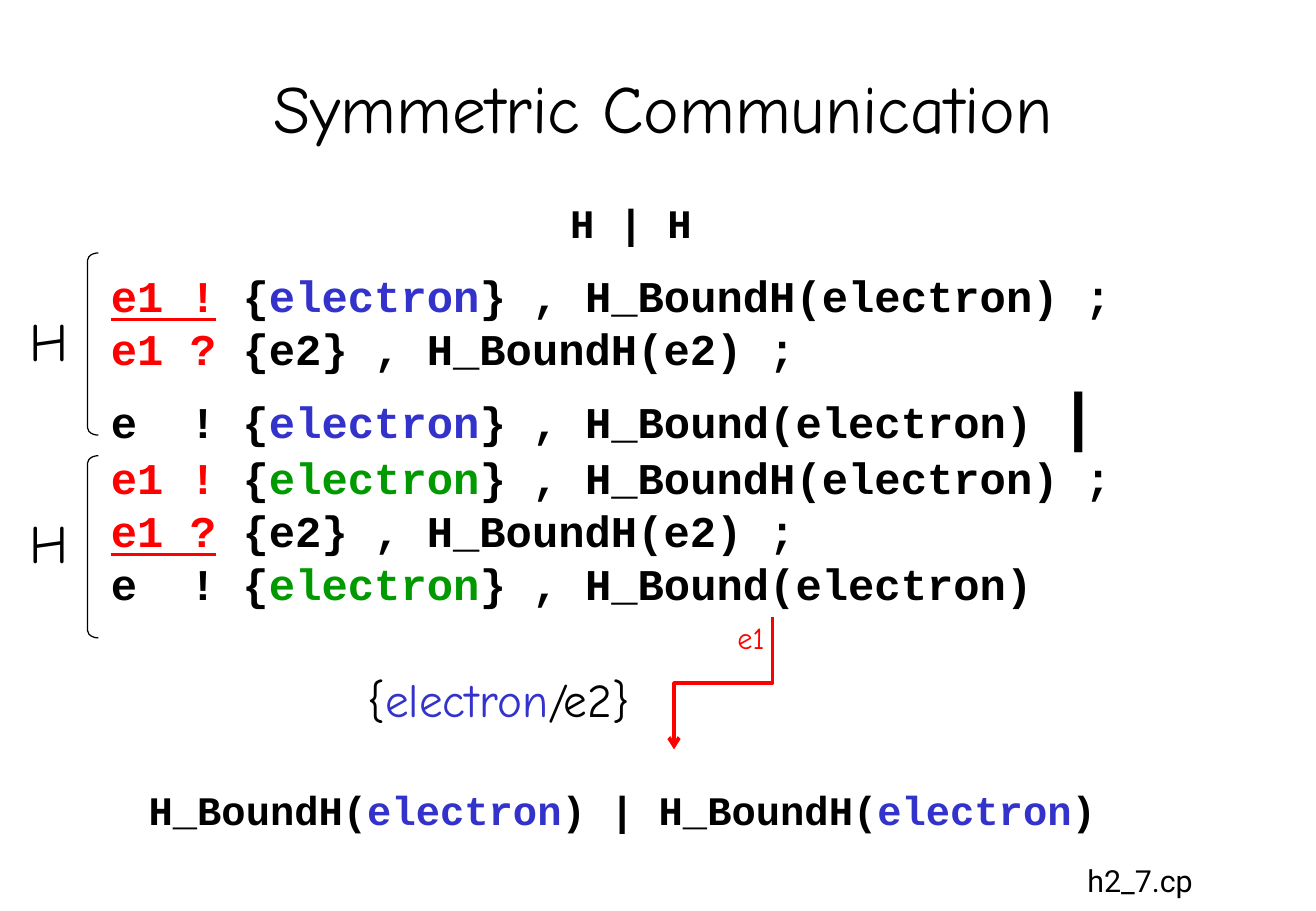
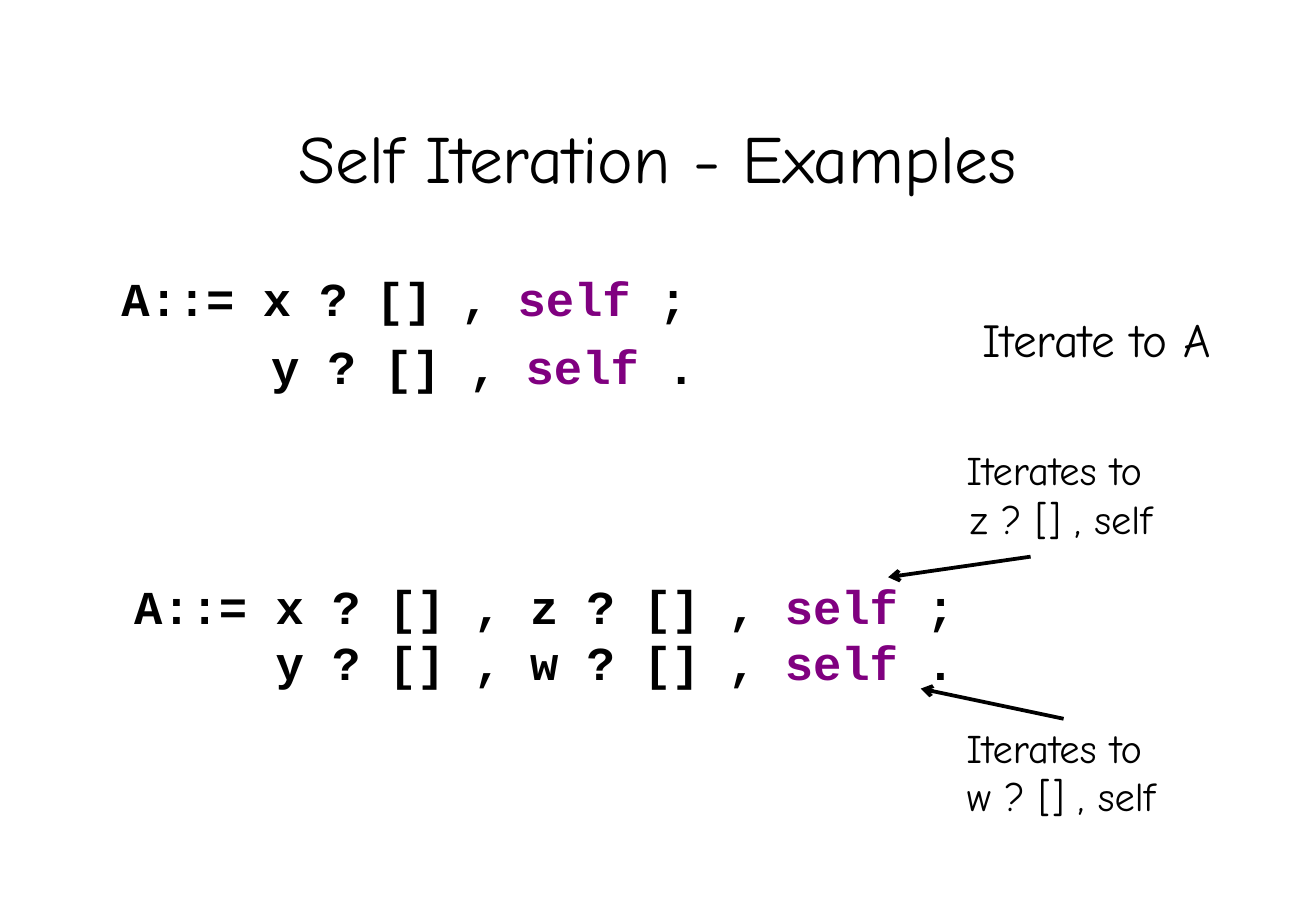
import pptx
import pptx.util
import pptx.dml.color
import pptx.enum.shapes
import pptx.enum.text
import pptx.oxml.ns
import lxml.etree

Cm = pptx.util.Cm
Pt = pptx.util.Pt
ALIGN = pptx.enum.text.PP_ALIGN
ANCHOR = pptx.enum.text.MSO_ANCHOR
CONNECTOR = pptx.enum.shapes.MSO_CONNECTOR
qn = pptx.oxml.ns.qn

COLOURS = {
    "black": "000000",
    "red": "FF0000",
    "blue": "3333CC",
    "green": "009900",
    "purple": "800080",
}
HAND = "Comic Neue"
CODE = "Courier New"
FOOTER = "Roboto"
TITLE_ONLY = 5


def rgb(name):
    return pptx.dml.color.RGBColor.from_string(COLOURS[name])


def set_font(font, face, size, colour="black", bold=False):
    font.name = face
    font.size = Pt(size)
    font.bold = bold
    font.color.rgb = rgb(colour)


def add_span(paragraph, text, colour=None, underline=False, size=None):
    run = paragraph.add_run()
    run.text = text
    if colour:
        run.font.color.rgb = rgb(colour)
    if underline:
        run.font.underline = True
    if size:
        run.font.size = Pt(size)


def fill_paragraph(paragraph, lines):
    """Each line is a list of spans: plain text, or a tuple for add_span."""
    for number, line in enumerate(lines):
        if number:
            paragraph.add_line_break()
        for span in line:
            add_span(paragraph, *((span,) if isinstance(span, str) else span))


def add_tab_stop(paragraph, position):
    stops = lxml.etree.SubElement(paragraph._p.get_or_add_pPr(), qn("a:tabLst"))
    lxml.etree.SubElement(stops, qn("a:tab"), pos=str(int(position)), algn="l")


def add_text(slide, box, paragraphs, size, face=HAND, colour="black",
             align=ALIGN.CENTER, anchor=ANCHOR.TOP, wrap=True, gap=0, tab=None):
    frame = slide.shapes.add_textbox(*map(Cm, box)).text_frame
    frame.word_wrap = wrap
    frame.vertical_anchor = anchor
    for number, lines in enumerate(paragraphs):
        paragraph = frame.add_paragraph() if number else frame.paragraphs[0]
        paragraph.alignment = align
        if number:
            paragraph.space_before = Pt(gap)
        if tab:
            add_tab_stop(paragraph, Cm(tab))
        set_font(paragraph.font, face, size, colour, bold=face == CODE)
        fill_paragraph(paragraph, lines)


def add_label(slide, box, spans, size, **style):
    """One centred line, in the middle of its box."""
    add_text(slide, box, [[spans]], size, anchor=ANCHOR.MIDDLE, wrap=False, **style)


def add_titled_slide(deck, title, box):
    slide = deck.slides.add_slide(deck.slide_layouts[TITLE_ONLY])
    heading = slide.shapes.title
    heading.left, heading.top, heading.width, heading.height = map(Cm, box)
    heading.text_frame.text = title
    heading.text_frame.vertical_anchor = ANCHOR.MIDDLE
    paragraph = heading.text_frame.paragraphs[0]
    paragraph.alignment = ALIGN.CENTER
    set_font(paragraph.font, HAND, 40)
    return slide


def add_arrow(slide, start, end, colour="black", kind=CONNECTOR.STRAIGHT):
    arrow = slide.shapes.add_connector(kind, *map(Cm, (*start, *end)))
    arrow.line.color.rgb = rgb(colour)
    arrow.line.width = Pt(2.25)
    outline = arrow.line._get_or_add_ln()
    lxml.etree.SubElement(outline, qn("a:tailEnd"), type="arrow")
    lxml.etree.SubElement(arrow._element.spPr, qn("a:effectLst"))
    return arrow


def add_step_arrow(slide, start, end, colour):
    """Elbow going down, left and down: a level elbow turned a quarter."""
    mid_x, mid_y = (start[0] + end[0]) / 2, (start[1] + end[1]) / 2
    half_drop, half_run = (end[1] - start[1]) / 2, (start[0] - end[0]) / 2
    arrow = add_arrow(slide, (mid_x - half_drop, mid_y - half_run),
                      (mid_x + half_drop, mid_y + half_run), colour, CONNECTOR.ELBOW)
    arrow._element.spPr.find(qn("a:xfrm")).set("rot", str(90 * 60000))


def add_process_bracket(slide, top):
    bracket = slide.shapes.add_shape(pptx.enum.shapes.MSO_SHAPE.LEFT_BRACKET,
                                     Cm(1.83), Cm(top), Cm(0.23), Cm(3.81))
    bracket.adjustments[0] = 0.69
    bracket.shadow.inherit = False
    bracket.fill.background()
    bracket.line.color.rgb = rgb("black")
    bracket.line.width = Pt(0.75)
    add_label(slide, (0, top + 0.44, 2.06, 2.74), ["H"], 32)


def process_lines(electron_colour, sends, ending):
    """The three choices of H; the chosen one of e1 is underlined."""
    electron = ("electron", electron_colour)
    return [
        [("e1 !", "red", sends), " {", electron, "} , H_BoundH(electron) ;"],
        [("e1 ?", "red", not sends), " {e2} , H_BoundH(e2) ;"],
        ["e  ! {", electron, "} , H_Bound(electron)", *ending],
    ]


def build_communication(deck):
    slide = add_titled_slide(deck, "Symmetric Communication", (1.15, 0.64, 25.45, 3.18))
    electron = ("electron", "blue")

    # Two parallel processes
    add_text(slide, (6.43, 4.02, 13.54, 1.47), [[["H | H"]]], 24, CODE)
    processes = (process_lines("blue", True, [" ", ("|", None, False, 38)])
                 + process_lines("green", False, []))
    add_text(slide, (2.07, 5.5, 25, 7.42), [processes], 26, CODE, align=ALIGN.LEFT)
    for top in (5.29, 9.53):
        add_process_bracket(slide, top)

    # Reaction and its result
    add_step_arrow(slide, (16.16, 12.9), (14.1, 15.67), "red")
    add_label(slide, (14.91, 12.7, 1.6, 1.27), ["e1"], 18, colour="red")
    add_label(slide, (7.11, 13.97, 6.65, 1.27), ["{", electron, "/e2}"], 28)
    result = ["H_BoundH(", electron, ") | H_BoundH(", electron, ")"]
    add_text(slide, (2.86, 15.66, 22.48, 2.54), [[result]], 24, CODE,
             align=ALIGN.LEFT, anchor=ANCHOR.MIDDLE)

    # Program file
    add_label(slide, (20.18, 17.78, 7.34, 1.27), ["h2_7.cp"], 18, face=FOOTER)


def build_iteration(deck):
    slide = add_titled_slide(deck, "Self Iteration - Examples", (2.06, 1.69, 23.39, 3.18))
    itself = ("self", "purple")

    # Iteration of the whole process
    add_text(slide, (2.29, 5.5, 23.39, 3.13),
             [[["A::= x ? [] , ", itself, " ;"]], [["\t y ? [] , ", itself, " ."]]],
             28, CODE, align=ALIGN.LEFT, gap=7, tab=2.54)
    add_text(slide, (20.25, 6.36, 5.38, 1.45), [[["Iterate to A"]]], 28, wrap=False)

    # Iteration of the last step
    add_text(slide, (2.55, 11.94, 17.68, 2.64),
             [[["A::= x ? [] , z ? [] , ", itself, " ;"],
               ["     y ? [] , w ? [] , ", itself, " ."]]],
             28, CODE, wrap=False)
    for channel, top, start, end in (
            ("z", 9.19, (21.56, 11.64), (18.58, 12.07)),
            ("w", 14.99, (22.25, 15.03), (19.26, 14.4))):
        add_text(slide, (17.33, top, 9.73, 1.6),
                 [[["Iterates to "], [f"{channel} ? [] , self"]]], 24)
        add_arrow(slide, start, end)


def main():
    deck = pptx.Presentation()
    deck.slide_width, deck.slide_height = Cm(27.53), Cm(19.05)
    build_communication(deck)
    build_iteration(deck)
    deck.save("out.pptx")


if __name__ == "__main__":
    main()
